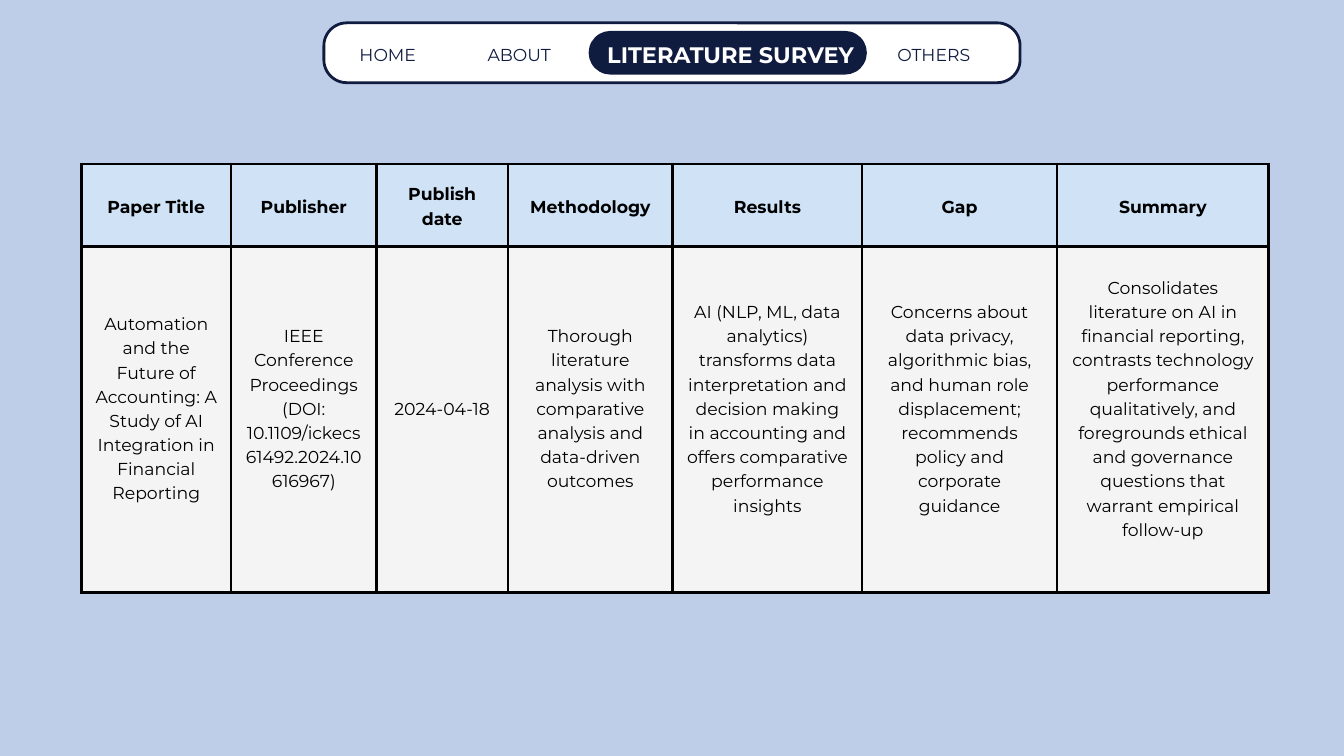
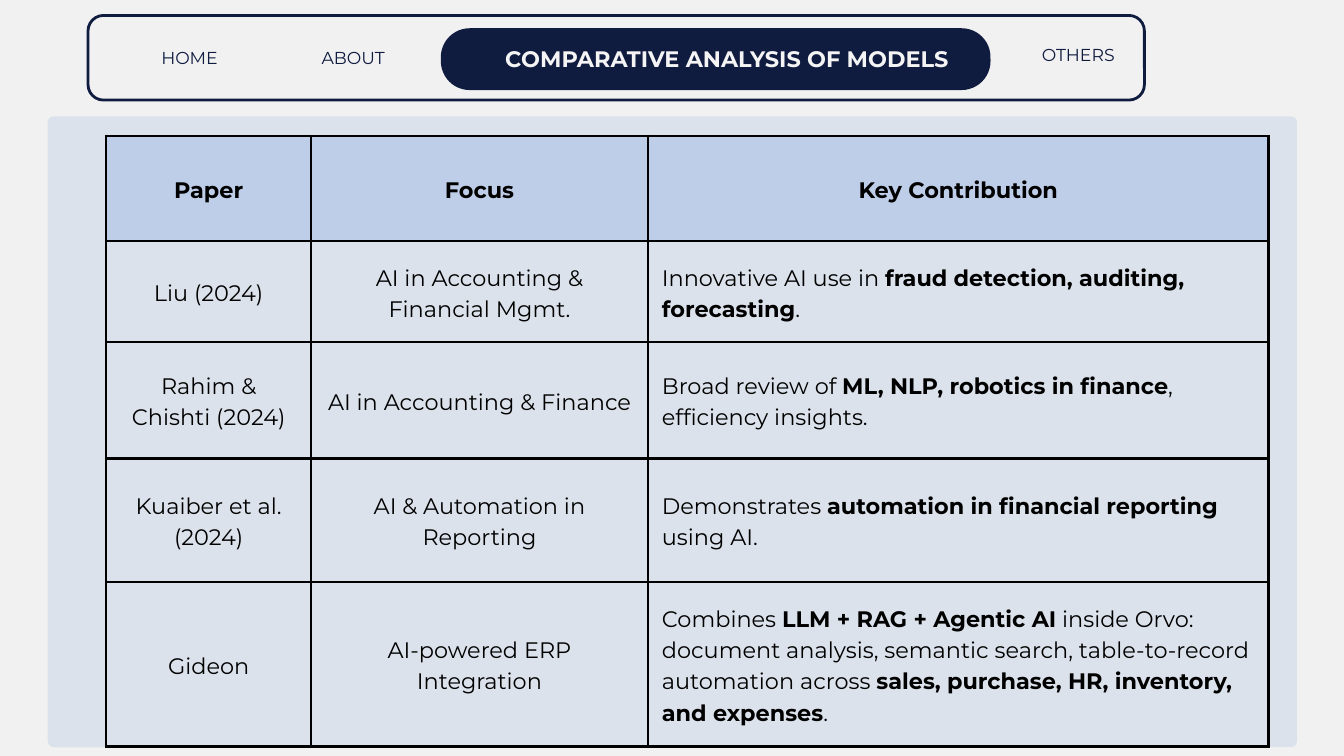
from lxml import etree
from pptx import Presentation
from pptx.dml.color import RGBColor
from pptx.enum import shapes, text
from pptx.oxml import ns
from pptx.util import Inches, Pt

FONT = "Montserrat"
NAVY, WHITE, BLACK = "101B40", "FFFFFF", "000000"
PERIWINKLE, SKY, MIST = "BFCEE8", "CFE2F6", "DCE2EB"
PALE, OFF_WHITE = "F1F1F1", "F4F4F4"
SMALL, LARGE = 18.5, 24
LEADING = 1.4
BORDER = 3
CELL_MARGIN = 0.21

SURVEY_COLS = [2.23, 2.16, 1.96, 2.45, 2.82, 2.9, 3.15]
SURVEY = [
    ["Paper Title", "Publisher", "Publish date", "Methodology", "Results", "Gap", "Summary"],
    [
        "Automation and the Future of Accounting: A Study of AI Integration in Financial Reporting",
        "IEEE Conference Proceedings (DOI: 10.1109/ickecs61492.2024.10616967)",
        "2024-04-18",
        "Thorough literature analysis with comparative analysis and data‑driven outcomes",
        "AI (NLP, ML, data analytics) transforms data interpretation and decision making "
        "in accounting and offers comparative performance insights",
        "Concerns about data privacy, algorithmic bias, and human role displacement; "
        "recommends policy and corporate guidance",
        "Consolidates literature on AI in financial reporting, contrasts technology performance "
        "qualitatively, and foregrounds ethical and governance questions that warrant empirical "
        "follow‑up",
    ],
]

# Double asterisks enclose bold words.
MODELS_COLS = [3.05, 5.01, 9.24]
MODELS = [
    ["Paper", "Focus", "Key Contribution"],
    ["Liu (2024)", "AI in Accounting & Financial Mgmt.",
     "Innovative AI use in **fraud detection, auditing, forecasting**."],
    ["Rahim & Chishti (2024)", "AI in Accounting & Finance",
     "Broad review of **ML, NLP, robotics in finance**, efficiency insights."],
    ["Kuaiber et al. (2024)", "AI & Automation in Reporting",
     "Demonstrates **automation in financial reporting** using AI."],
    ["Gideon", "AI-powered ERP Integration",
     "Combines **LLM + RAG + Agentic AI** inside Orvo: document analysis, semantic search, "
     "table-to-record automation across **sales, purchase, HR, inventory, and expenses**."],
]


def rgb(color):
    return RGBColor.from_string(color)


def write(tf, content, size, color, bold=False, align=text.PP_ALIGN.CENTER):
    """Fill a text frame with one paragraph, switching weight at each **."""
    p = tf.paragraphs[0]
    p.alignment = align
    p.line_spacing = Pt(round(size * LEADING, 1))
    for i, part in enumerate(content.split("**")):
        if not part:
            continue
        r = p.add_run()
        r.text = part
        r.font.name = FONT
        r.font.size = Pt(size)
        r.font.bold = bold or i % 2 == 1
        r.font.color.rgb = rgb(color)


def add_label(s, box, content, size, color, bold=False):
    tf = s.shapes.add_textbox(*map(Inches, box)).text_frame
    tf.margin_left = tf.margin_top = tf.margin_right = tf.margin_bottom = 0
    tf.word_wrap = True
    write(tf, content, size, color, bold)


def add_rounded(s, box, radius, fill=None, line=None):
    sp = s.shapes.add_shape(shapes.MSO_SHAPE.ROUNDED_RECTANGLE, *map(Inches, box))
    sp.adjustments[0] = min(0.5, radius / min(box[2:]))
    sp.shadow.inherit = False
    if fill:
        sp.fill.solid()
        sp.fill.fore_color.rgb = rgb(fill)
    else:
        sp.fill.background()
    if line:
        sp.line.color.rgb = rgb(line)
        sp.line.width = Pt(BORDER)
    else:
        sp.line.fill.background()


def add_nav(s, box, radius, fill, pill, pill_radius, title, title_color, items):
    """Navigation bar; pill, title and items are placed from the bar's top left corner."""
    left, top = box[:2]

    def inside(x, y, w, h):
        return left + x, top + y, w, h

    add_rounded(s, box, radius, fill, NAVY)
    add_rounded(s, inside(*pill), pill_radius, NAVY)
    for name, (x, y, w) in zip(("HOME", "ABOUT", "OTHERS"), items):
        add_label(s, inside(x, y, w, 0.34), name, SMALL, NAVY)
    name, x, y, w = title
    add_label(s, inside(x, y, w, 0.43), name, LARGE, title_color, True)


def add_borders(cell):
    tc_pr = cell._tc.get_or_add_tcPr()
    for side in ("a:lnL", "a:lnR", "a:lnT", "a:lnB"):
        ln = etree.SubElement(tc_pr, ns.qn(side), w=str(Pt(BORDER)))
        fill = etree.SubElement(ln, ns.qn("a:solidFill"))
        etree.SubElement(fill, ns.qn("a:srgbClr"), val=BLACK)


def add_grid(s, left, top, cols, heights, rows, size, head_fill, body_fill=None, left_col=None,
             body_bottom=CELL_MARGIN):
    """Bordered table with a bold head row; left_col is the body column set flush left."""
    box = left, top, sum(cols), sum(heights)
    table = s.shapes.add_table(len(rows), len(cols), *map(Inches, box)).table
    table.first_row = table.horz_banding = False
    for column, width in zip(table.columns, cols):
        column.width = Inches(width)
    for i, (row, height) in enumerate(zip(rows, heights)):
        table.rows[i].height = Inches(height)
        for j, content in enumerate(row):
            cell = table.cell(i, j)
            cell.vertical_anchor = text.MSO_ANCHOR.MIDDLE
            cell.margin_left = cell.margin_right = cell.margin_top = Inches(CELL_MARGIN)
            cell.margin_bottom = Inches(body_bottom if i else CELL_MARGIN)
            add_borders(cell)
            fill = body_fill if i else head_fill
            if fill:
                cell.fill.solid()
                cell.fill.fore_color.rgb = rgb(fill)
            else:
                cell.fill.background()
            flush = i > 0 and j == left_col
            align = text.PP_ALIGN.LEFT if flush else text.PP_ALIGN.CENTER
            write(cell.text_frame, content, size, BLACK, i == 0, align)


def add_slide(prs, background):
    s = prs.slides.add_slide(prs.slide_layouts[6])
    s.background.fill.solid()
    s.background.fill.fore_color.rgb = rgb(background)
    return s


def literature_survey(prs):
    s = add_slide(prs, PERIWINKLE)
    add_nav(s, (4.82, 0.34, 10.36, 0.89), 0.34, WHITE,
            pill=(3.94, 0.12, 4.14, 0.65), pill_radius=0.33,
            title=("LITERATURE SURVEY", 4.09, 0.21, 3.92), title_color=WHITE,
            items=[(0.04, 0.26, 1.82), (1.86, 0.26, 2.09), (7.86, 0.26, 2.43)])
    add_grid(s, 1.21, 2.44, SURVEY_COLS, [1.23, 5.15], SURVEY, SMALL, SKY, OFF_WHITE,
             body_bottom=0.57)


def model_comparison(prs):
    s = add_slide(prs, PALE)
    add_rounded(s, (0.71, 1.73, 18.59, 9.39), 0.09, MIST)
    add_nav(s, (1.31, 0.23, 15.72, 1.26), 0.23, None,
            pill=(5.25, 0.19, 8.18, 0.92), pill_radius=0.43,
            title=("COMPARATIVE ANALYSIS OF MODELS", 5.57, 0.38, 7.87), title_color=OFF_WHITE,
            items=[(0.37, 0.42, 2.28), (2.64, 0.42, 2.61), (13.75, 0.38, 1.97)])
    add_grid(s, 1.58, 2.02, MODELS_COLS, [1.57, 1.5, 1.73, 1.84, 2.45], MODELS, LARGE,
             PERIWINKLE, left_col=2)


def main():
    prs = Presentation()
    prs.slide_width, prs.slide_height = Inches(20), Inches(11.25)
    literature_survey(prs)
    model_comparison(prs)
    prs.save("out.pptx")


if __name__ == "__main__":
    main()
